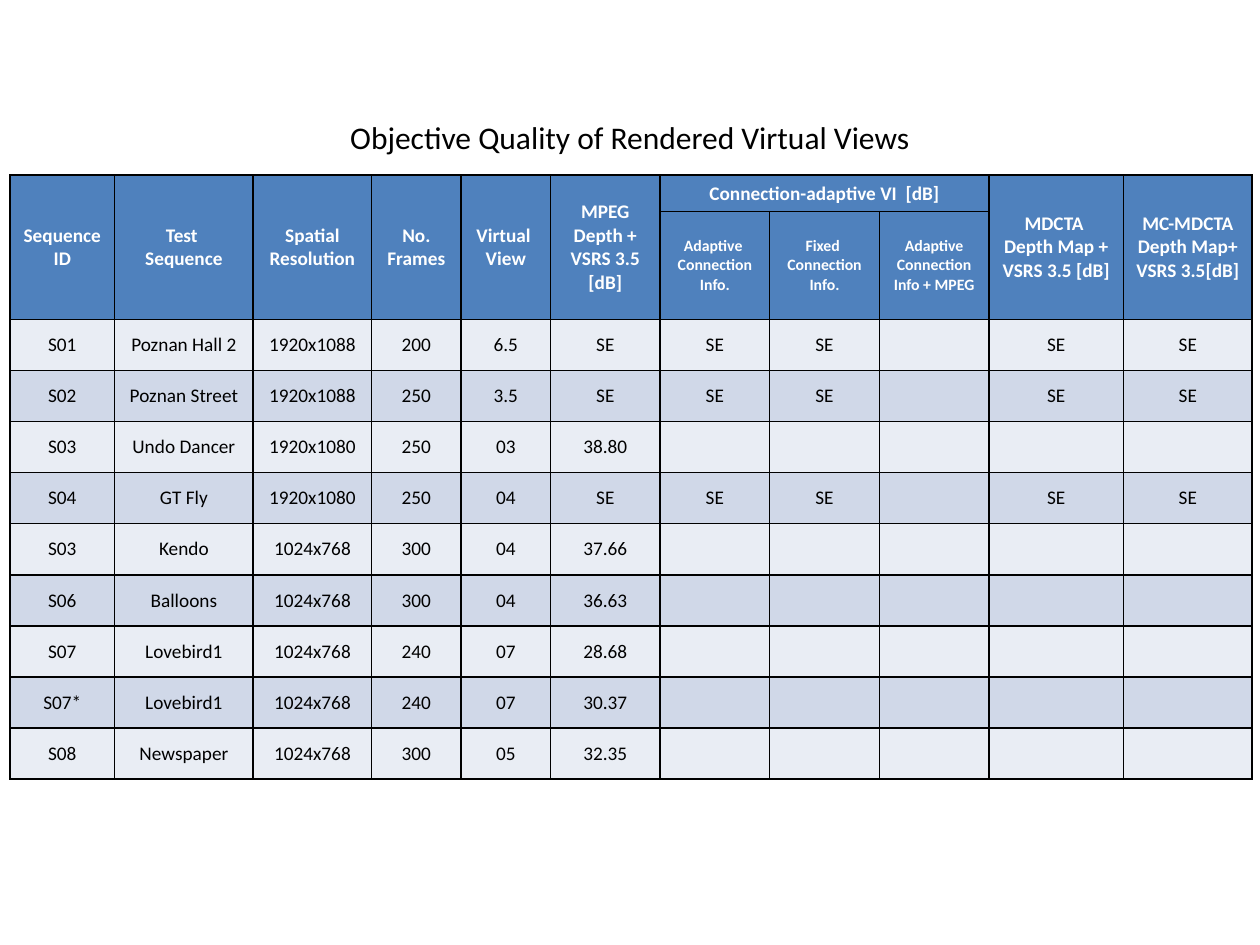
from lxml import etree
from pptx import Presentation
from pptx.dml.color import RGBColor
from pptx.enum import text
from pptx.oxml.ns import qn
from pptx.util import Inches, Pt

THEME = {
    "font": "Calibri", "title": Pt(18), "body": Pt(11), "small": Pt(9), "border": Pt(1),
    "black": RGBColor.from_string("000000"), "white": RGBColor.from_string("FFFFFF"),
    "header": RGBColor.from_string("4F81BD"),
    "bands": [RGBColor.from_string("E9EDF4"), RGBColor.from_string("D0D8E8")],
}


def write(tf, content, size, color, bold=False):
    style = {"name": THEME["font"], "size": size, "bold": bold}
    for i, line in enumerate(content.split("\n")):
        p = tf.paragraphs[0] if i == 0 else tf.add_paragraph()
        p.alignment = text.PP_ALIGN.CENTER
        if not line:
            continue
        r = p.add_run()
        r.text = line
        for key, value in style.items():
            setattr(r.font, key, value)
        r.font.color.rgb = color


def format_cell(cell, fill):
    cell.vertical_anchor = text.MSO_ANCHOR.MIDDLE
    tcPr = cell._tc.get_or_add_tcPr()
    for side in ("a:lnL", "a:lnR", "a:lnT", "a:lnB"):
        ln = etree.SubElement(tcPr, qn(side), w=str(THEME["border"]))
        solid = etree.SubElement(ln, qn("a:solidFill"))
        etree.SubElement(solid, qn("a:srgbClr"), val=str(THEME["black"]))
    cell.fill.solid()
    cell.fill.fore_color.rgb = fill


prs = Presentation()
prs.slide_width, prs.slide_height = Inches(10), Inches(7.5)
s = prs.slides.add_slide(prs.slide_layouts[6])

col_widths = [0.83, 1.1, 0.94, 0.71, 0.71, 0.87, 0.87, 0.87, 0.87, 1.07, 1.02]
header_heights = [0.29, 0.85]
top_header = [
    "Sequence \nID", "Test  Sequence", "Spatial Resolution", "No. Frames", "Virtual \nView",
    "MPEG Depth + VSRS 3.5\n[dB]", "Connection-adaptive VI  [dB]", "", "",
    "MDCTA  Depth Map + VSRS 3.5 [dB]", "MC-MDCTA Depth Map+\nVSRS 3.5[dB]",
]
sub_header = [""] * 6 + [
    "Adaptive \nConnection Info.", "Fixed \nConnection Info.", "Adaptive Connection Info + MPEG",
] + [""] * 2
sequences = [
    ("S01", "Poznan Hall 2", "1920x1088", "200", "6.5", "SE"),
    ("S02", "Poznan Street", "1920x1088", "250", "3.5", "SE"),
    ("S03", "Undo Dancer", "1920x1080", "250", "03", "38.80"),
    ("S04", "GT Fly", "1920x1080", "250", "04", "SE"),
    ("S03", "Kendo", "1024x768", "300", "04", "37.66"),
    ("S06", "Balloons", "1024x768", "300", "04", "36.63"),
    ("S07", "Lovebird1", "1024x768", "240", "07", "28.68"),
    ("S07*", "Lovebird1", "1024x768", "240", "07", "30.37"),
    ("S08", "Newspaper", "1024x768", "300", "05", "32.35"),
]
body_height = 3.65 / len(sequences)
row_heights = header_heights + [body_height] * len(sequences)
rows = [top_header, sub_header]
for sequence in sequences:
    mark = "SE" if sequence[-1] == "SE" else ""
    rows.append([*sequence, mark, mark, "", mark, mark])

table = s.shapes.add_table(
    len(rows), len(col_widths), Inches(0.08), Inches(1.39),
    Inches(sum(col_widths)), Inches(sum(row_heights))).table
for column, width in zip(table.columns, col_widths):
    column.width = Inches(width)
for row, height in zip(table.rows, row_heights):
    row.height = Inches(height)

for i, values in enumerate(rows):
    is_header = i < len(header_heights)
    fill = THEME["header"] if is_header else THEME["bands"][i % 2]
    color = THEME["white"] if is_header else THEME["black"]
    size = THEME["small"] if i == 1 else THEME["body"]
    for j, value in enumerate(values):
        cell = table.cell(i, j)
        format_cell(cell, fill)
        write(cell.text_frame, value, size, color, is_header)

table.cell(0, 6).merge(table.cell(0, 8))
for j, label in enumerate(sub_header):
    if not label:
        table.cell(0, j).merge(table.cell(1, j))

title = s.shapes.add_textbox(Inches(0), Inches(0.89), Inches(10), Inches(0.4))
tf = title.text_frame
tf.word_wrap = True
tf.auto_size = text.MSO_AUTO_SIZE.SHAPE_TO_FIT_TEXT
write(tf, "Objective Quality of Rendered Virtual Views", THEME["title"], THEME["black"])

prs.save("out.pptx")
